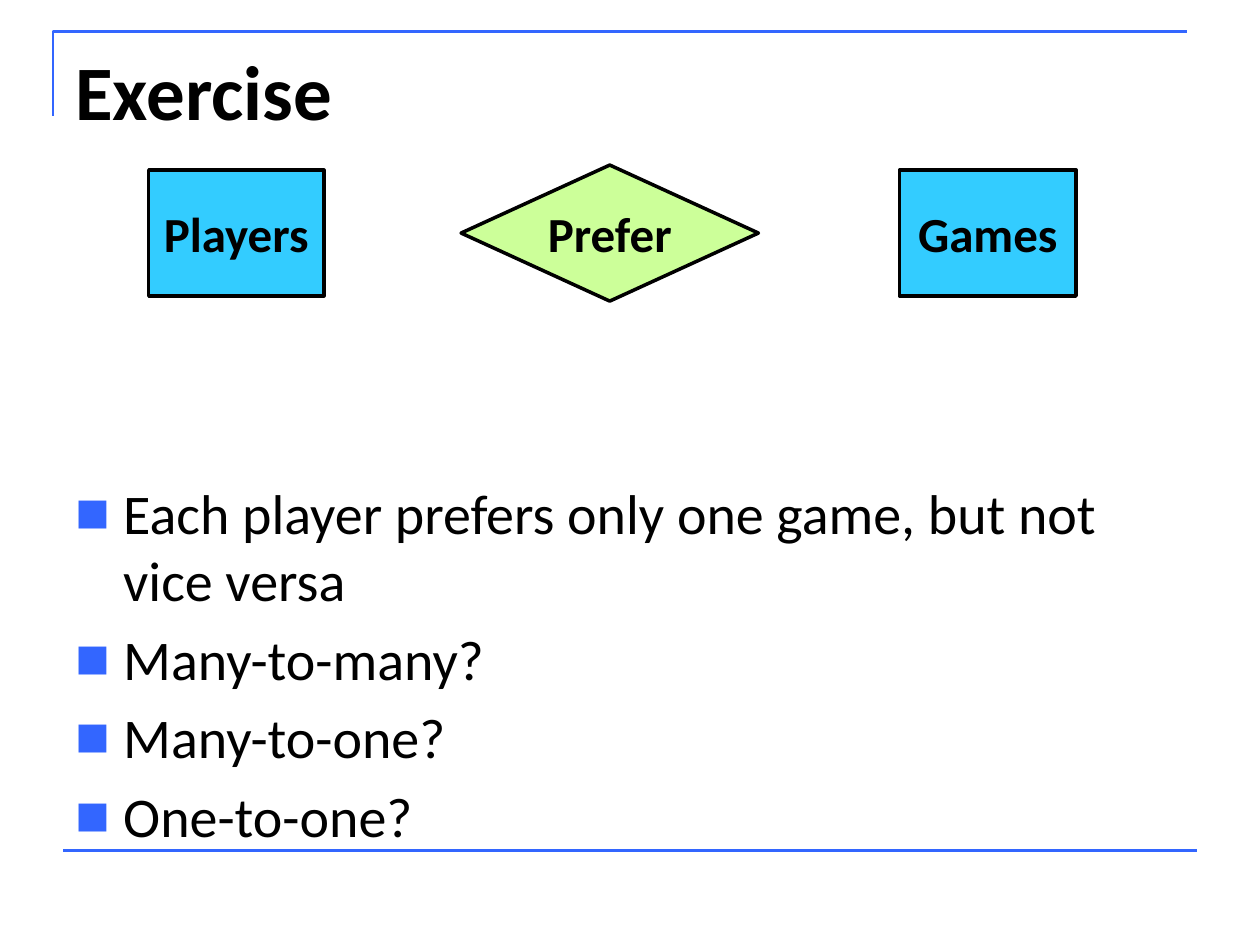
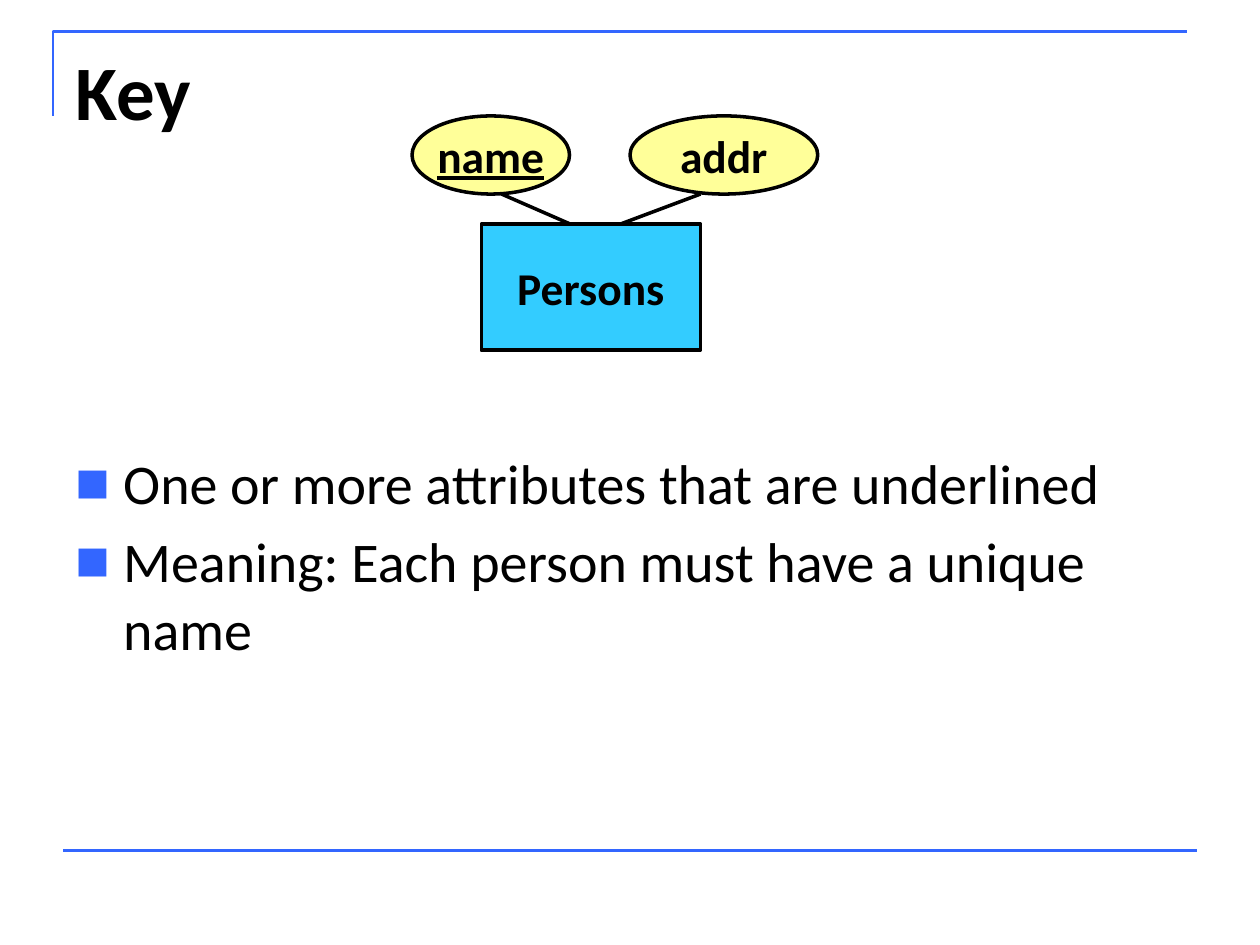
from dataclasses import dataclass
from typing import Optional

from lxml.etree import SubElement
from pptx import Presentation
from pptx.dml.color import RGBColor
from pptx.enum.shapes import MSO_CONNECTOR, MSO_SHAPE
from pptx.enum.text import MSO_ANCHOR, PP_ALIGN
from pptx.oxml.ns import qn
from pptx.util import Emu, Pt

SCALE = 9144
FONT = "Calibri"
BLACK = RGBColor(0x00, 0x00, 0x00)
WHITE = RGBColor(0xFF, 0xFF, 0xFF)
BLUE = RGBColor(0x33, 0x66, 0xFF)
CYAN = RGBColor(0x33, 0xCC, 0xFF)
GREEN = RGBColor(0xCC, 0xFF, 0x99)
YELLOW = RGBColor(0xFF, 0xFF, 0x99)


@dataclass(frozen=True)
class Box:
    """A rectangle in px."""
    x: int
    y: int
    w: int
    h: int

    def emu(self) -> tuple:
        """Return left, top, width and height in EMU."""
        return tuple(px(v) for v in (self.x, self.y, self.w, self.h))


@dataclass(frozen=True)
class Node:
    """A labelled part of an entity-relationship diagram."""
    text: str
    kind: MSO_SHAPE
    fill: RGBColor
    box: Box
    size: int
    underline: bool = False


@dataclass(frozen=True)
class Link:
    """A straight line between two points in px."""
    x1: int
    y1: int
    x2: int
    y2: int


@dataclass(frozen=True)
class Page:
    """The content of one slide."""
    title: str
    body: Box
    bullets: tuple
    nodes: tuple
    links: tuple = ()


TITLE_BOX = Box(50, 30, 900, 125)
FOOT_RULE = Link(50, 675, 950, 675)
CORNER = ((42, 92), (42, 25), (942, 25))

PAGES = (
    Page(
        "Exercise",
        Box(50, 375, 900, 295),
        (
            "Each player prefers only one game, but not vice versa",
            "Many-to-many?",
            "Many-to-one?",
            "One-to-one?",
        ),
        (
            Node("Games", MSO_SHAPE.RECTANGLE, CYAN, Box(714, 135, 140, 100), 28),
            Node("Players", MSO_SHAPE.RECTANGLE, CYAN, Box(118, 135, 139, 100), 28),
            Node("Prefer", MSO_SHAPE.DIAMOND, GREEN, Box(366, 131, 236, 108), 28),
        ),
    ),
    Page(
        "Key",
        Box(50, 351, 900, 319),
        (
            "One or more attributes that are underlined",
            "Meaning: Each person must have a unique name",
        ),
        (
            Node("Persons", MSO_SHAPE.RECTANGLE, CYAN, Box(382, 178, 174, 100), 26),
            Node("addr", MSO_SHAPE.OVAL, YELLOW, Box(500, 92, 149, 62), 26),
            Node("name", MSO_SHAPE.OVAL, YELLOW, Box(327, 92, 125, 62), 26, True),
        ),
        (Link(398, 154, 453, 178), Link(556, 154, 492, 178)),
    ),
)


def px(n: int) -> Emu:
    """Turn px into EMU."""
    return Emu(n * SCALE)


def write(p, text: str, *, size: int, bold: bool = False,
          underline: Optional[bool] = None, align: PP_ALIGN = PP_ALIGN.LEFT) -> None:
    """Put formatted text in a paragraph."""
    p.alignment = align
    r = p.add_run()
    r.text = text
    r.font.name = FONT
    r.font.size = Pt(size)
    r.font.bold = bold
    r.font.underline = underline
    r.font.color.rgb = BLACK


def add_frame(s, box: Box):
    """Add a wrapping text box and return its text frame."""
    tf = s.shapes.add_textbox(*box.emu()).text_frame
    tf.word_wrap = True
    tf.vertical_anchor = MSO_ANCHOR.TOP
    return tf


def add_bullet(p) -> None:
    """Give a paragraph a hanging square bullet."""
    pPr = p._p.get_or_add_pPr()
    pPr.set("marL", str(px(38)))
    pPr.set("indent", str(-px(38)))
    color = SubElement(pPr, qn("a:buClr"))
    SubElement(color, qn("a:srgbClr"), val=str(BLUE))
    SubElement(pPr, qn("a:buSzPct"), val="65000")
    SubElement(pPr, qn("a:buFont"), typeface=FONT)
    SubElement(pPr, qn("a:buChar"), char="■")


def add_line(s, link: Link, color: RGBColor, width: float) -> None:
    """Draw a straight line without shadow."""
    ends = (px(v) for v in (link.x1, link.y1, link.x2, link.y2))
    sp = s.shapes.add_connector(MSO_CONNECTOR.STRAIGHT, *ends)
    sp.line.color.rgb = color
    sp.line.width = Pt(width)
    SubElement(sp._element.spPr, qn("a:effectLst"))


def add_node(s, node: Node) -> None:
    """Draw a diagram node with its centred label."""
    sp = s.shapes.add_shape(node.kind, *node.box.emu())
    sp.shadow.inherit = False
    sp.fill.solid()
    sp.fill.fore_color.rgb = node.fill
    sp.line.color.rgb = BLACK
    sp.line.width = Pt(2)
    tf = sp.text_frame
    tf.word_wrap = False
    tf.vertical_anchor = MSO_ANCHOR.MIDDLE
    write(tf.paragraphs[0], node.text, size=node.size, bold=True,
          underline=node.underline or None, align=PP_ALIGN.CENTER)


def add_decor(s) -> None:
    """Draw the corner and foot rule that all slides share."""
    s.background.fill.solid()
    s.background.fill.fore_color.rgb = WHITE
    start, *rest = CORNER
    builder = s.shapes.build_freeform(*start, scale=SCALE)
    builder.add_line_segments(rest, close=False)
    sp = builder.convert_to_shape()
    sp.shadow.inherit = False
    sp.fill.background()
    sp.line.color.rgb = BLUE
    sp.line.width = Pt(1.5)
    add_line(s, FOOT_RULE, BLUE, 1.5)


def add_page(prs, page: Page) -> None:
    """Build one slide."""
    s = prs.slides.add_slide(prs.slide_layouts[6])
    add_decor(s)
    write(add_frame(s, TITLE_BOX).paragraphs[0], page.title, size=44, bold=True)
    tf = add_frame(s, page.body)
    for i, text in enumerate(page.bullets):
        p = tf.add_paragraph() if i else tf.paragraphs[0]
        p.space_before = Pt(6.4 if i else 0)
        write(p, text, size=32)
        add_bullet(p)
    for node in page.nodes:
        add_node(s, node)
    for link in page.links:
        add_line(s, link, BLACK, 2)


def main() -> None:
    """Build and save the presentation."""
    prs = Presentation()
    prs.slide_width, prs.slide_height = px(1000), px(750)
    for page in PAGES:
        add_page(prs, page)
    prs.save("out.pptx")


if __name__ == "__main__":
    main()
